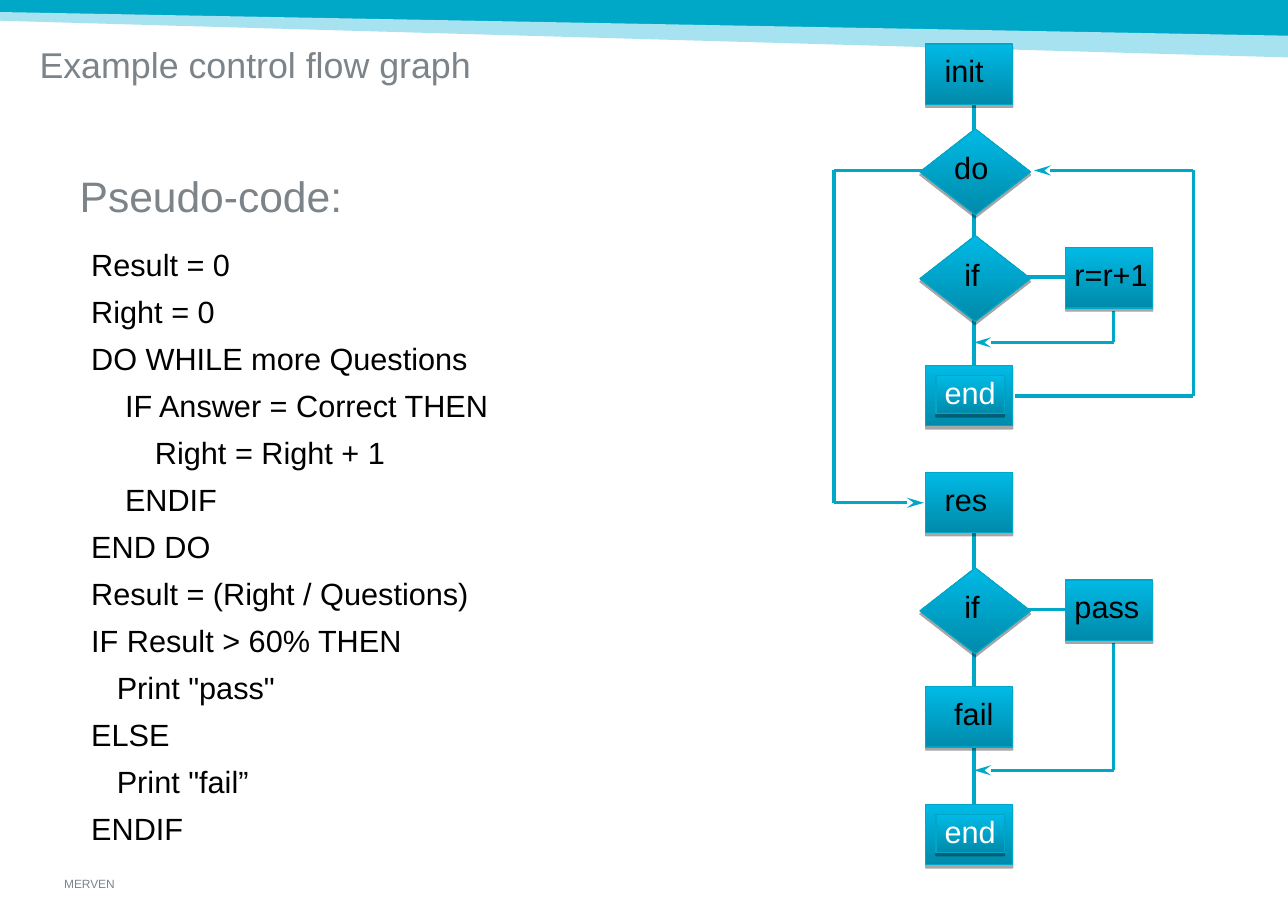
from itertools import pairwise

from lxml import etree
from pptx import Presentation
from pptx import util as u
from pptx.dml.color import RGBColor
from pptx.enum import shapes, text
from pptx.oxml import ns

COLORS = {
    "teal": "00A8C8", "pale": "A6E2EF", "outline": "00A7C8",
    "dark": "008AAA", "bright": "00BAE5",
    "grey": "7C848A", "black": "000000", "white": "FFFFFF",
}
SLIDE_SIZE = (26.67, 19.05)
BANDS = [
    ("teal", [(0, 0), (26.67, 0), (26.67, 0.81), (0, 0.3)]),
    ("pale", [(0, 0.25), (26.67, 0.74), (26.67, 1.19), (0, 0.43)]),
]
HEADINGS = [
    # words, box, insets, size, line spacing
    ("Example control flow graph", (0.57, 0.89, 24, 2.11), (0.25, 0.13), 21, 0.85),
    ("Pseudo-code:", (1.47, 3.58, 8, 1.07), (0.18, 0.08), 25, 0.87),
    ("MERVEN", (1.33, 18.15, 8.03, 0.28), (0, 0), 7, 1),
]
PSEUDO_BOX = (1.71, 5.13, 12.4, 12.47)
PSEUDO_CODE = [
    # indent, statement
    (0, "Result = 0"),
    (0, "Right = 0"),
    (0, "DO WHILE more Questions"),
    (0.7, "IF Answer = Correct THEN"),
    (1.32, "Right = Right + 1"),
    (0.7, "ENDIF"),
    (0, "END DO"),
    (0, "Result = (Right / Questions)"),
    (0, "IF Result > 60% THEN"),
    (0.53, 'Print "pass"'),
    (0, "ELSE"),
    (0.53, 'Print "fail”'),
    (0, "ENDIF"),
]
# kind: preset shape, width, height, distance from top to label
NODE_KINDS = {
    "box": (shapes.MSO_SHAPE.RECTANGLE, 1.8, 1.25, 0.21),
    "choice": (shapes.MSO_SHAPE.DIAMOND, 2.29, 1.78, 0.46),
}
LABEL_WIDTH, END_WIDTH, LABEL_HEIGHT = 2.2, 1.42, 0.79
MAIN, CHOICE, SIDE = 19.17, 19.05, 22.07
NODES = [
    # label, kind, left, top, label left
    ("init", "box", MAIN, 0.91, 19.38),
    ("do", "choice", CHOICE, 2.67, 19.58),
    ("if", "choice", CHOICE, 4.88, 19.79),
    ("r=r+1", "box", SIDE, 5.13, 22.07),
    ("end", "box", MAIN, 7.57, 19.38),
    ("res", "box", MAIN, 9.78, 19.38),
    ("if", "choice", CHOICE, 11.76, 19.79),
    ("pass", "box", SIDE, 12.01, 22.07),
    ("fail", "box", MAIN, 14.22, 19.58),
    ("end", "box", MAIN, 16.66, 19.38),
]
SPINE, SIDE_SPINE, DO_LEVEL = 20.17, 23.06, 3.53
ROUTES = [
    # arrow at the last point, points
    (False, [(SPINE, 1.78), (SPINE, 8.2)]),
    (False, [(SPINE, 10.64), (SPINE, 17.09)]),
    (False, [(20.9, 5.74), (22.05, 5.74)]),
    (False, [(20.9, 12.62), (22.05, 12.62)]),
    (True, [(19.28, DO_LEVEL), (17.27, DO_LEVEL), (17.27, 10.41), (19.13, 10.41)]),
    (True, [(SIDE_SPINE, 6.43), (SIDE_SPINE, 7.09), (SPINE, 7.09)]),
    (True, [(21.01, 8.2), (24.71, 8.2), (24.71, DO_LEVEL), (21.41, DO_LEVEL)]),
    (True, [(SIDE_SPINE, 13.31), (SIDE_SPINE, 15.95), (SPINE, 15.95)]),
]


def color(name):
    return RGBColor.from_string(COLORS[name])


def cm(values):
    return [u.Cm(value) for value in values]


def set_all(target, values):
    for name, value in values.items():
        setattr(target, name, value)


def write(shape, lines, size, ink, insets=(0.18, 0.08), spacing=0.85, before=0):
    """Fill a shape with (indent, words) lines in one style."""
    frame = shape.text_frame
    left, down = cm(insets)
    set_all(frame, {
        "margin_left": left, "margin_right": 0,
        "margin_top": down, "margin_bottom": down,
        "word_wrap": True, "vertical_anchor": text.MSO_ANCHOR.TOP,
    })
    for index, (indent, words) in enumerate(lines):
        paragraph = frame.paragraphs[0] if index == 0 else frame.add_paragraph()
        paragraph.text = words
        set_all(paragraph, {
            "alignment": text.PP_ALIGN.LEFT, "line_spacing": spacing,
            "space_before": u.Pt(before if index else 0),
        })
        if indent:
            paragraph._p.get_or_add_pPr().set("marL", str(u.Cm(indent)))
        set_all(paragraph.font, {"name": "Arial", "size": u.Pt(size)})
        paragraph.font.color.rgb = color(ink)


def add_band(slide, fill, points):
    start, *rest = [cm(point) for point in points]
    builder = slide.shapes.build_freeform(*start)
    builder.add_line_segments(rest)
    band = builder.convert_to_shape()
    band.shadow.inherit = False
    band.fill.solid()
    band.fill.fore_color.rgb = color(fill)
    band.line.fill.background()


def add_route(slide, arrow, points):
    """Join the points with straight lines, with an arrowhead at the end if asked."""
    for start, end in pairwise(points):
        line = slide.shapes.add_connector(
            shapes.MSO_CONNECTOR.STRAIGHT, *cm(start), *cm(end))
        line.line.width = u.Pt(2)
        line.line.color.rgb = color("teal")
        properties = line._element.spPr
        if arrow and end == points[-1]:
            etree.SubElement(properties.find(ns.qn("a:ln")), ns.qn("a:tailEnd"),
                             type="stealth", w="med", len="lg")
        etree.SubElement(properties, ns.qn("a:effectLst"))


def add_tile(slide, preset, box):
    """Add a shape with the teal gradient and a hard shadow below it."""
    tile = slide.shapes.add_shape(preset, *cm(box))
    tile.fill.gradient()
    tile.fill.gradient_angle = 90
    for stop, name in zip(tile.fill.gradient_stops, ("dark", "bright")):
        stop.color.rgb = color(name)
    tile.line.color.rgb = color("outline")
    tile.line.width = u.Pt(0.75)
    tile.shadow.inherit = False
    effects = tile._element.spPr.find(ns.qn("a:effectLst"))
    shadow = etree.SubElement(effects, ns.qn("a:outerShdw"), blurRad="0",
                              dist=str(u.Pt(1.8)), dir="5400000", rotWithShape="0")
    shade = etree.SubElement(shadow, ns.qn("a:srgbClr"), val=COLORS["black"])
    etree.SubElement(shade, ns.qn("a:alpha"), val="35000")
    return tile


def add_node(slide, label, kind, left, top, label_left):
    """Add a tile and its label; an end label has a tile of its own."""
    preset, width, height, drop = NODE_KINDS[kind]
    add_tile(slide, preset, (left, top, width, height))
    label_top = top + drop
    if label == "end":
        holder = add_tile(slide, preset, (label_left, label_top, END_WIDTH, LABEL_HEIGHT))
        ink = "white"
    else:
        holder = slide.shapes.add_textbox(
            *cm((label_left, label_top, LABEL_WIDTH, LABEL_HEIGHT)))
        ink = "black"
    write(holder, [(0, label)], 18, ink)


def main():
    presentation = Presentation()
    presentation.slide_width, presentation.slide_height = cm(SLIDE_SIZE)
    slide = presentation.slides.add_slide(presentation.slide_layouts[6])
    for band in BANDS:
        add_band(slide, *band)
    for words, box, insets, size, spacing in HEADINGS:
        write(slide.shapes.add_textbox(*cm(box)), [(0, words)], size, "grey", insets, spacing)
    write(slide.shapes.add_textbox(*cm(PSEUDO_BOX)), PSEUDO_CODE, 18, "black",
          spacing=0.86, before=9)
    for route in ROUTES:
        add_route(slide, *route)
    for node in NODES:
        add_node(slide, *node)
    presentation.save("out.pptx")


if __name__ == "__main__":
    main()
